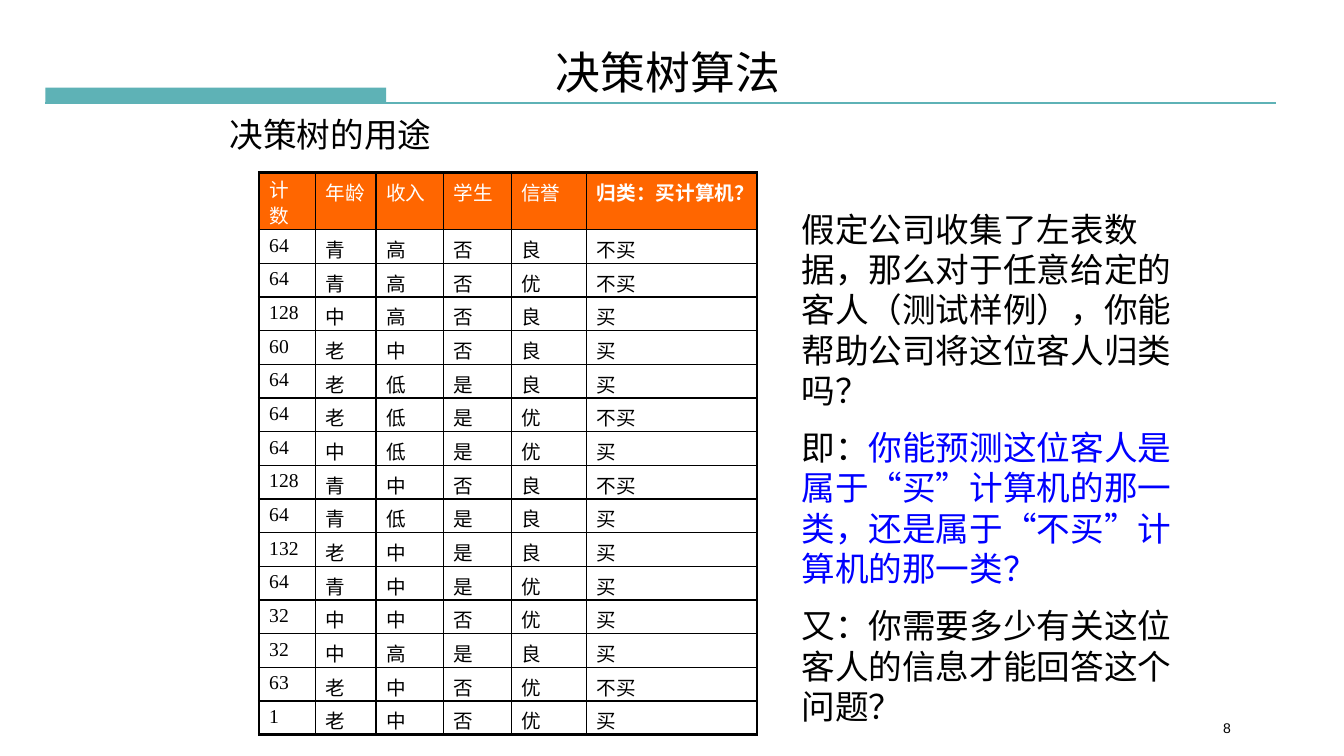
from lxml import etree
from pptx import Presentation
from pptx.dml.color import RGBColor
from pptx.enum.shapes import MSO_CONNECTOR, MSO_SHAPE
from pptx.enum.text import MSO_ANCHOR, MSO_AUTO_SIZE, PP_ALIGN
from pptx.oxml.ns import qn
from pptx.util import Inches, Pt

BLACK = RGBColor(0x00, 0x00, 0x00)
WHITE = RGBColor(0xFF, 0xFF, 0xFF)
TEAL = RGBColor(0x5E, 0xB2, 0xB6)
ORANGE = RGBColor(0xFF, 0x66, 0x00)
BLUE = RGBColor(0x00, 0x00, 0xFF)
LEFT, CENTER = PP_ALIGN.LEFT, PP_ALIGN.CENTER
TOP, NO_FIT = MSO_ANCHOR.TOP, MSO_AUTO_SIZE.NONE
RECTANGLE, STRAIGHT = MSO_SHAPE.RECTANGLE, MSO_CONNECTOR.STRAIGHT

COLUMN_WIDTHS = [0.56, 0.6, 0.67, 0.67, 0.75, 1.69]
HEADER_HEIGHT = 0.57
HEADER = ["计数", "年龄", "收入", "学生", "信誉", "归类：买计算机？"]
CUSTOMERS = [line.split() for line in """\
64 青 高 否 良 不买
64 青 高 否 优 不买
128 中 高 否 良 买
60 老 中 否 良 买
64 老 低 是 良 买
64 老 低 是 优 不买
64 中 低 是 优 买
128 青 中 否 良 不买
64 青 低 是 良 买
132 老 中 是 良 买
64 青 中 是 优 买
32 中 中 否 优 买
32 中 高 是 良 买
63 老 中 否 优 不买
1 老 中 否 优 买""".splitlines()]
QUESTIONS = [
    [("假定公司收集了左表数据，那么对于任意给定的客人（测试样例），你能帮助公司将这位客人归类吗？", BLACK)],
    [("即：", BLACK),
     ("你能预测这位客人是属于“买”计算机的那一类，还是属于“不买”计算机的那一类？", BLUE)],
    [("又：你需要多少有关这位客人的信息才能回答这个问题？", BLACK)],
]


def write_text(frame, text, size, font="Arial", color=BLACK, bold=False,
               align=LEFT, line=None, gap=0, wrap=True, hanging=True):
    """Write a string, or paragraphs given as lists of (text, colour) runs."""
    paragraphs = [[(text, color)]] if isinstance(text, str) else text
    frame.word_wrap = wrap
    for index, runs in enumerate(paragraphs):
        paragraph = frame.paragraphs[0] if index == 0 else frame.add_paragraph()
        properties = paragraph._p.get_or_add_pPr()
        properties.set("marL", "0")
        properties.set("indent", "0")
        properties.set("hangingPunct", "1" if hanging else "0")
        etree.SubElement(properties, qn("a:buNone"))
        paragraph.alignment = align
        paragraph.space_before = Pt(gap if index else 0)
        if line:
            paragraph.line_spacing = Pt(line)
        for content, run_color in runs:
            run = paragraph.add_run()
            run.text = content
            run.font.name = font
            run.font.size = Pt(size)
            run.font.bold = bold
            run.font.color.rgb = run_color


def place(shape, box):
    shape.left, shape.top, shape.width, shape.height = map(Inches, box)


def fill_placeholder(shape, box, text, size, **text_format):
    place(shape, box)
    shape.text_frame.auto_size = NO_FIT
    shape.text_frame.vertical_anchor = TOP
    write_text(shape.text_frame, text, size, **text_format)


def add_rule(slide, box):
    """Thick bar that runs on as a thin line along its bottom edge."""
    left, top, width, height = box
    bar = slide.shapes.add_shape(RECTANGLE, Inches(left), Inches(top), Inches(3.38), Inches(height))
    bar.shadow.inherit = False
    bar.fill.solid()
    bar.fill.fore_color.rgb = TEAL
    bar.line.fill.background()
    bottom = Inches(top + height)
    line = slide.shapes.add_connector(STRAIGHT, Inches(left), bottom, Inches(left + width), bottom)
    line.line.color.rgb = TEAL
    line.line.width = Pt(1.5)
    etree.SubElement(line._element.spPr, qn("a:effectLst"))


def add_borders(cell, widths):
    properties = cell._tc.get_or_add_tcPr()
    for side, width in zip("LRTB", widths):
        border = etree.SubElement(properties, qn(f"a:ln{side}"), w=str(Pt(width)))
        fill = etree.SubElement(border, qn("a:solidFill"))
        etree.SubElement(fill, qn("a:srgbClr"), val=str(BLACK))


def add_customer_table(slide, box):
    rows = [HEADER] + CUSTOMERS
    last_row, last_column = len(rows) - 1, len(HEADER) - 1
    table = slide.shapes.add_table(len(rows), len(HEADER), *map(Inches, box)).table
    table.first_row = table.horz_banding = False
    for column, width in zip(table.columns, COLUMN_WIDTHS):
        column.width = Inches(width)
    for row_index, values in enumerate(rows):
        is_header = row_index == 0
        table.rows[row_index].height = Inches(
            HEADER_HEIGHT if is_header else (box[3] - HEADER_HEIGHT) / last_row)
        for column_index, value in enumerate(values):
            cell = table.cell(row_index, column_index)
            outer = (column_index == 0, column_index == last_column, is_header, row_index == last_row)
            add_borders(cell, [2.25 if edge else 1 for edge in outer])
            cell.margin_top, cell.margin_bottom = Inches(0.05), 0
            if is_header:
                cell.fill.solid()
                cell.fill.fore_color.rgb = ORANGE
            else:
                cell.fill.background()
            # The two-line header needs tighter lines
            write_text(cell.text_frame, value, 14, font="Times New Roman",
                       line=18.5 if value == "计数" else None,
                       color=WHITE if is_header else BLACK,
                       bold=is_header and column_index == last_column)


def add_label(slide, box, text, size, **text_format):
    label = slide.shapes.add_textbox(*map(Inches, box))
    write_text(label.text_frame, text, size, **text_format)


def build_slide(presentation):
    slide = presentation.slides.add_slide(presentation.slide_layouts[1])
    title, body = slide.placeholders
    add_rule(slide, (0.45, 0.87, 12.21, 0.15))
    # Title and subtitle
    fill_placeholder(title, (5.4, 0.39, 2.45, 0.64), "决策树算法", 32,
                     align=CENTER, line=38.4, wrap=False)
    add_label(slide, (2.18, 1.08, 2.2, 0.5), "决策树的用途", 24, line=28.8, wrap=False)
    # Data on the left, questions on the right
    add_customer_table(slide, (2.57, 1.71, 4.94, 5.58))
    fill_placeholder(body, (7.85, 2.02, 3.98, 4.95), QUESTIONS, 24,
                     line=28.8, gap=12, hanging=False)
    body.fill.solid()
    body.fill.fore_color.rgb = WHITE
    # Page number
    add_label(slide, (11.56, 7.09, 1.22, 0.29), "8", 10, align=CENTER)


def main():
    presentation = Presentation()
    presentation.slide_width = Inches(13.33)
    presentation.slide_height = Inches(7.5)
    build_slide(presentation)
    presentation.save("out.pptx")


if __name__ == "__main__":
    main()
